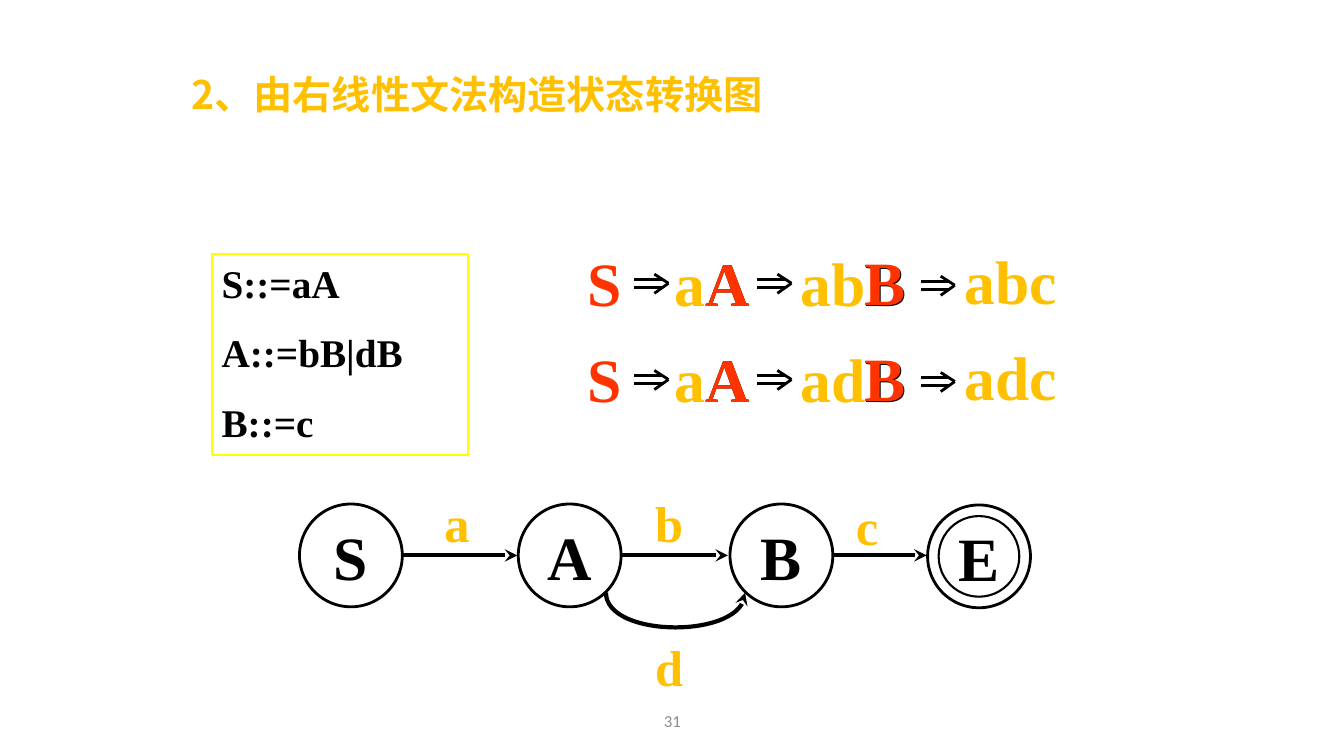
from dataclasses import dataclass

from lxml import etree
from pptx import Presentation
from pptx import util as u
from pptx.dml.color import RGBColor
from pptx.enum import shapes, text
from pptx.oxml import ns


@dataclass
class Theme:
    gold: str = "FFC000"
    red: str = "FF3300"
    black: str = "000000"
    gray: str = "8C8C8C"
    yellow: str = "FFFF00"
    serif: str = "Times New Roman"
    sans: str = "Calibri"
    chinese: str = "Noto Sans CJK SC"
    symbol: int = 44
    label: int = 36
    body: int = 28
    footer: int = 12


theme = Theme()
deck = Presentation()
deck.slide_width, deck.slide_height = u.Inches(13.33), u.Inches(7.5)
slide = deck.slides.add_slide(deck.slide_layouts[6])


def write(shape, parts, size, font=theme.serif, bold=True):
    """Fill the first paragraph with (text, colour) runs."""
    paragraph = shape.text_frame.paragraphs[0]
    for words, color in parts:
        run = paragraph.add_run()
        run.text = words
        run.font.size, run.font.bold, run.font.name = u.Pt(size), bold, font
        run.font.color.rgb = RGBColor.from_string(color)
        east_asian = etree.SubElement(run.font._element, ns.qn("a:ea"))
        east_asian.set("typeface", font)
    shape.text_frame.word_wrap = True
    return paragraph


def stroke(line_shape, width, color=theme.black, arrow=False):
    """Give a shape or connector its outline, without shadow."""
    line_shape.line.width = u.Pt(width)
    line_shape.line.color.rgb = RGBColor.from_string(color)
    properties = line_shape._element.spPr
    if arrow:
        tail = etree.SubElement(line_shape.line._get_or_add_ln(), ns.qn("a:tailEnd"))
        tail.set("type", "stealth")
    etree.SubElement(properties, ns.qn("a:effectLst"))


# Title
title = slide.shapes.add_textbox(u.Inches(1.76), u.Inches(0.55), u.Inches(9.67), u.Inches(1.62))
heading = write(title, [("2、由右线性文法构造状态转换图", theme.gold)], theme.body, theme.chinese)
heading.line_spacing = 1.2
indent = heading._p.get_or_add_pPr()
indent.set("marL", str(u.Inches(0.46)))
indent.set("indent", str(u.Inches(-0.42)))

# Grammar rules
grammar = slide.shapes.add_shape(shapes.MSO_SHAPE.RECTANGLE, u.Inches(2.1), u.Inches(2.52),
                                 u.Inches(2.54), u.Inches(1.99))
grammar.fill.background()
stroke(grammar, 1.5, theme.yellow)
grammar.text_frame.text = "S::=aA\nA::=bB|dB\nB::=c"
grammar.text_frame.vertical_anchor = text.MSO_ANCHOR.TOP
for index, rule in enumerate(grammar.text_frame.paragraphs):
    rule.alignment = text.PP_ALIGN.LEFT
    rule.space_before = u.Pt(16 if index else 0)
    for run in rule.runs:
        run.font.size, run.font.bold, run.font.name = u.Pt(theme.body), True, theme.serif
        run.font.color.rgb = RGBColor.from_string(theme.black)

# Derivations: the red nonterminals lie over black ones
arrow_strokes = [((0.2, 0.19), (0.34, 0.09)), ((0.34, 0.09), (0.2, 0)),
                 ((0.28, 0.13), (0, 0.13)), ((0.28, 0.05), (0, 0.05))]
for row, middle in enumerate("bd"):
    top = 2.38 + 0.955 * row
    steps = [(5.73, 0, 0.55, [("S", theme.red)]),
             (6.59, 0, 1.16, [("a", theme.gold), ("A", theme.black)]),
             (6.9, 0, 0.49, [("A", theme.red)]),
             (7.84, 0, 1.73, [("a" + middle, theme.gold), ("B", theme.black)]),
             (8.48, -0.01, 0.64, [("B", theme.red)]),
             (9.47, -0.02, 1.14, [("a" + middle + "c", theme.gold)])]
    for left, shift, width, parts in steps:
        step = slide.shapes.add_textbox(u.Inches(left), u.Inches(top + shift),
                                        u.Inches(width), u.Inches(0.83))
        write(step, parts, theme.symbol)
    for left, drop in [(6.29, 0.34), (7.51, 0.34), (9.13, 0.36)]:
        derives = slide.shapes.add_group_shape()
        for (x1, y1), (x2, y2) in arrow_strokes:
            segment = derives.shapes.add_connector(
                shapes.MSO_CONNECTOR.STRAIGHT,
                u.Inches(left + x1), u.Inches(top + drop + y1),
                u.Inches(left + x2), u.Inches(top + drop + y2))
            stroke(segment, 2)

# States, with an inner ring for the final one
states = [("S", 2.97, 5, 1.02, 2), ("A", 5.14, 5, 1.02, 2), ("B", 7.24, 5, 1.02, 2),
          ("E", 9.2, 5.01, 1.02, 2), ("", 9.31, 5.12, 0.8, 1.5)]
for name, left, top, size, width in states:
    state = slide.shapes.add_shape(shapes.MSO_SHAPE.OVAL, u.Inches(left), u.Inches(top),
                                   u.Inches(size), u.Inches(size))
    state.fill.background()
    stroke(state, width)
    if name:
        write(state, [(name, theme.black)], theme.symbol).alignment = text.PP_ALIGN.CENTER
        state.text_frame.vertical_anchor = text.MSO_ANCHOR.MIDDLE
        state.text_frame.word_wrap = False

# Straight transitions
for start, end in [(4, 5.13), (6.17, 7.22), (8.27, 9.19)]:
    transition = slide.shapes.add_connector(shapes.MSO_CONNECTOR.STRAIGHT, u.Inches(start),
                                            u.Inches(5.51), u.Inches(end), u.Inches(5.51))
    stroke(transition, 3, arrow=True)

# Curved transition from A to B
curve_left, curve_top, span, depth, pieces = 6.01, 5.88, 1.38, 0.46, 32
points = []
for piece in range(1, pieces + 1):
    t = piece / pieces
    points.append((u.Inches(curve_left + span * t * t * (3 - 2 * t)),
                   u.Inches(curve_top + 3 * depth * t * (1 - t))))
builder = slide.shapes.build_freeform(u.Inches(curve_left), u.Inches(curve_top))
builder.add_line_segments(points, close=False)
bend = builder.convert_to_shape()
bend.fill.background()
stroke(bend, 3, arrow=True)

# Transition labels
for letter, left, top in [("a", 4.31, 4.83), ("b", 6.4, 4.83), ("c", 8.39, 4.86), ("d", 6.4, 6.26)]:
    label = slide.shapes.add_textbox(u.Inches(left), u.Inches(top), u.Inches(0.53), u.Inches(0.7))
    write(label, [(letter, theme.gold)], theme.label)

# Page number
page = slide.shapes.add_textbox(u.Inches(4.42), u.Inches(6.95), u.Inches(4.5), u.Inches(0.4))
number = write(page, [("31", theme.gray)], theme.footer, theme.sans, bold=False)
number.alignment = text.PP_ALIGN.CENTER
page.text_frame.vertical_anchor = text.MSO_ANCHOR.MIDDLE

deck.save("out.pptx")
